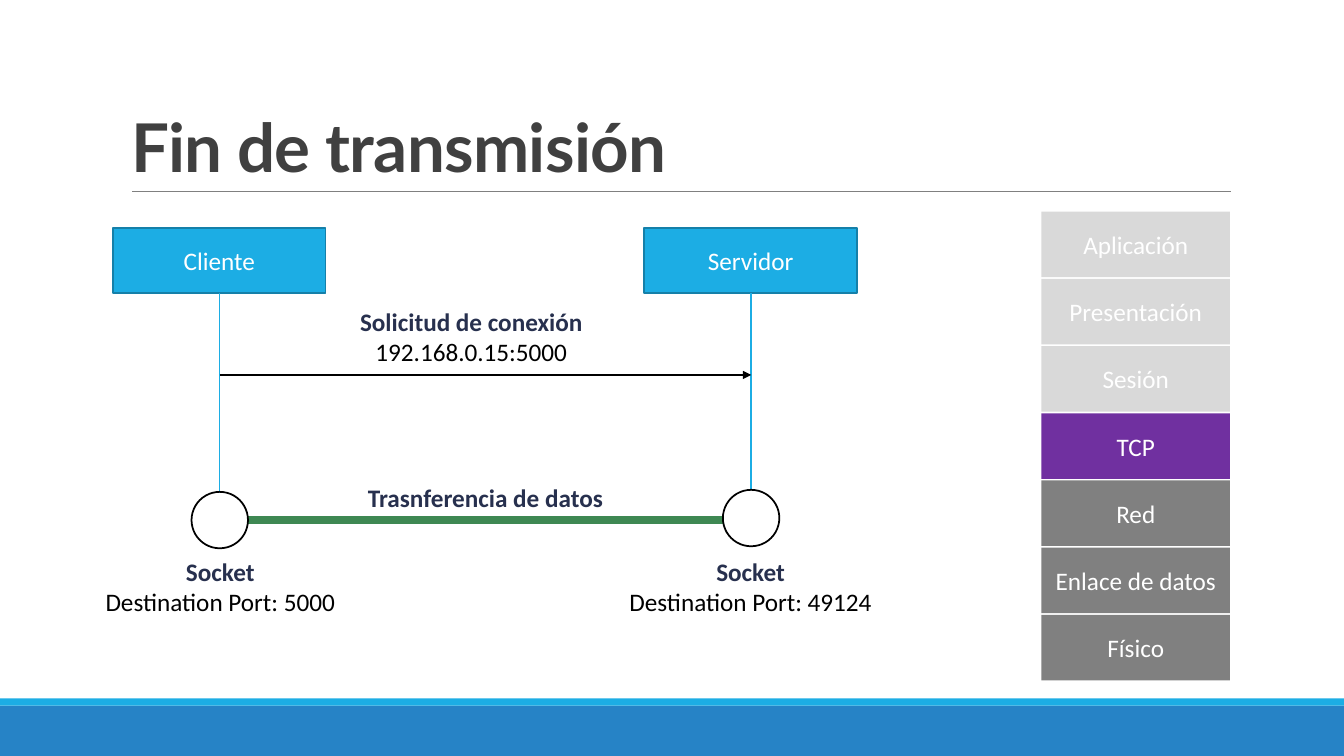
from pptx import Presentation, util as u
from pptx.dml.color import RGBColor
from pptx.enum import shapes, text
from pptx.oxml.ns import qn
from lxml import etree

Inches, Pt = u.Inches, u.Pt
BLUE, DEEP_BLUE, NAVY = "1CADE4", "2683C6", "27304E"
WHITE, BLACK, GRAY, LIGHT = "FFFFFF", "000000", "808080", "D9D9D9"
GREEN, PURPLE = "3E8853", "7030A0"


def color(value):
    return RGBColor.from_string(value)


class Diagram:
    font = "Calibri"
    size = Pt(18)

    def __init__(self, page):
        self.page = page

    def fill_para(self, para, words, ink, bold=False):
        para.text = words
        para.alignment = text.PP_ALIGN.CENTER
        para.font.name, para.font.size = self.font, self.size
        para.font.bold = bold
        para.font.color.rgb = color(ink)

    def title(self, words):
        box = self.page.shapes.title
        box.left, box.top = Inches(1.2), Inches(0.31)
        box.width, box.height = Inches(11), Inches(1.59)
        frame = box.text_frame
        frame.vertical_anchor = text.MSO_ANCHOR.BOTTOM
        frame.auto_size = text.MSO_AUTO_SIZE.NONE
        para = frame.paragraphs[0]
        self.fill_para(para, words, "404040", True)
        para.alignment = text.PP_ALIGN.LEFT
        para.line_spacing = 0.85
        para.font.name, para.font.size = "Lato", Pt(48)
        para.runs[0]._r.get_or_add_rPr().set("spc", "-50")

    def shape(self, left, top, width, height, fill, words="", line=None,
              kind=shapes.MSO_SHAPE.RECTANGLE):
        shape = self.page.shapes.add_shape(
            kind, Inches(left), Inches(top), Inches(width), Inches(height))
        shape.shadow.inherit = False
        shape.fill.solid()
        shape.fill.fore_color.rgb = color(fill)
        if line:
            shape.line.color.rgb = color(line)
            shape.line.width = Pt(1.25)
        else:
            shape.line.fill.background()
        if words:
            shape.text_frame.vertical_anchor = text.MSO_ANCHOR.MIDDLE
            self.fill_para(shape.text_frame.paragraphs[0], words, WHITE)

    def line(self, x1, y1, x2, y2, ink, weight=1, arrow=False):
        line = self.page.shapes.add_connector(
            shapes.MSO_CONNECTOR.STRAIGHT,
            Inches(x1), Inches(y1), Inches(x2), Inches(y2))
        line.line.color.rgb = color(ink)
        line.line.width = Pt(weight)
        if arrow:
            etree.SubElement(line.line._get_or_add_ln(), qn("a:tailEnd"), type="triangle")
        etree.SubElement(line._element.spPr, qn("a:effectLst"))

    def label(self, left, top, width, heading, detail=None):
        box = self.page.shapes.add_textbox(
            Inches(left), Inches(top), Inches(width), Inches(0.71 if detail else 0.4))
        frame = box.text_frame
        frame.word_wrap = True
        frame.auto_size = text.MSO_AUTO_SIZE.SHAPE_TO_FIT_TEXT
        self.fill_para(frame.paragraphs[0], heading, NAVY, True)
        if detail:
            self.fill_para(frame.add_paragraph(), detail, BLACK)


deck = Presentation()
deck.slide_width, deck.slide_height = Inches(13.33), Inches(7.5)
diagram = Diagram(deck.slides.add_slide(deck.slide_layouts[5]))

diagram.shape(0, 7, 13.33, 0.5, DEEP_BLUE)
diagram.shape(0, 6.93, 13.33, 0.07, BLUE)
diagram.line(1.31, 1.9, 12.21, 1.9, GRAY, 0.5)
diagram.title("Fin de transmisión")

layers = [
    ("Aplicación", LIGHT), ("Presentación", LIGHT), ("Sesión", LIGHT),
    ("TCP", PURPLE),
    ("Red", GRAY), ("Enlace de datos", GRAY), ("Físico", GRAY),
]
for row, (layer, fill) in enumerate(layers):
    diagram.shape(10.33, 2.1 + row * 4 / 6, 1.87, 0.65, fill, layer)

client_x, server_x = 2.18, 7.45
for name, center in (("Cliente", client_x), ("Servidor", server_x)):
    diagram.shape(center - 1.06, 2.26, 2.11, 0.65, BLUE, name, "1580A9")
    diagram.line(center, 2.91, center, 5.42, BLUE)

diagram.line(client_x, 3.72, server_x, 3.72, BLACK, arrow=True)
diagram.line(client_x + 0.28, 5.16, server_x, 5.16, GREEN, 6, arrow=True)
for center, top in ((client_x, 4.88), (server_x, 4.86)):
    diagram.shape(center - 0.28, top, 0.56, 0.56, WHITE, line=BLACK,
                  kind=shapes.MSO_SHAPE.OVAL)

diagram.label(3.4, 2.99, 2.55, "Solicitud de conexión", "192.168.0.15:5000")
diagram.label(3.54, 4.74, 2.55, "Trasnferencia de datos")
diagram.label(0.91, 5.47, 2.55, "Socket", "Destination Port: 5000")
diagram.label(6.11, 5.47, 2.67, "Socket", "Destination Port: 49124")

deck.save("out.pptx")
